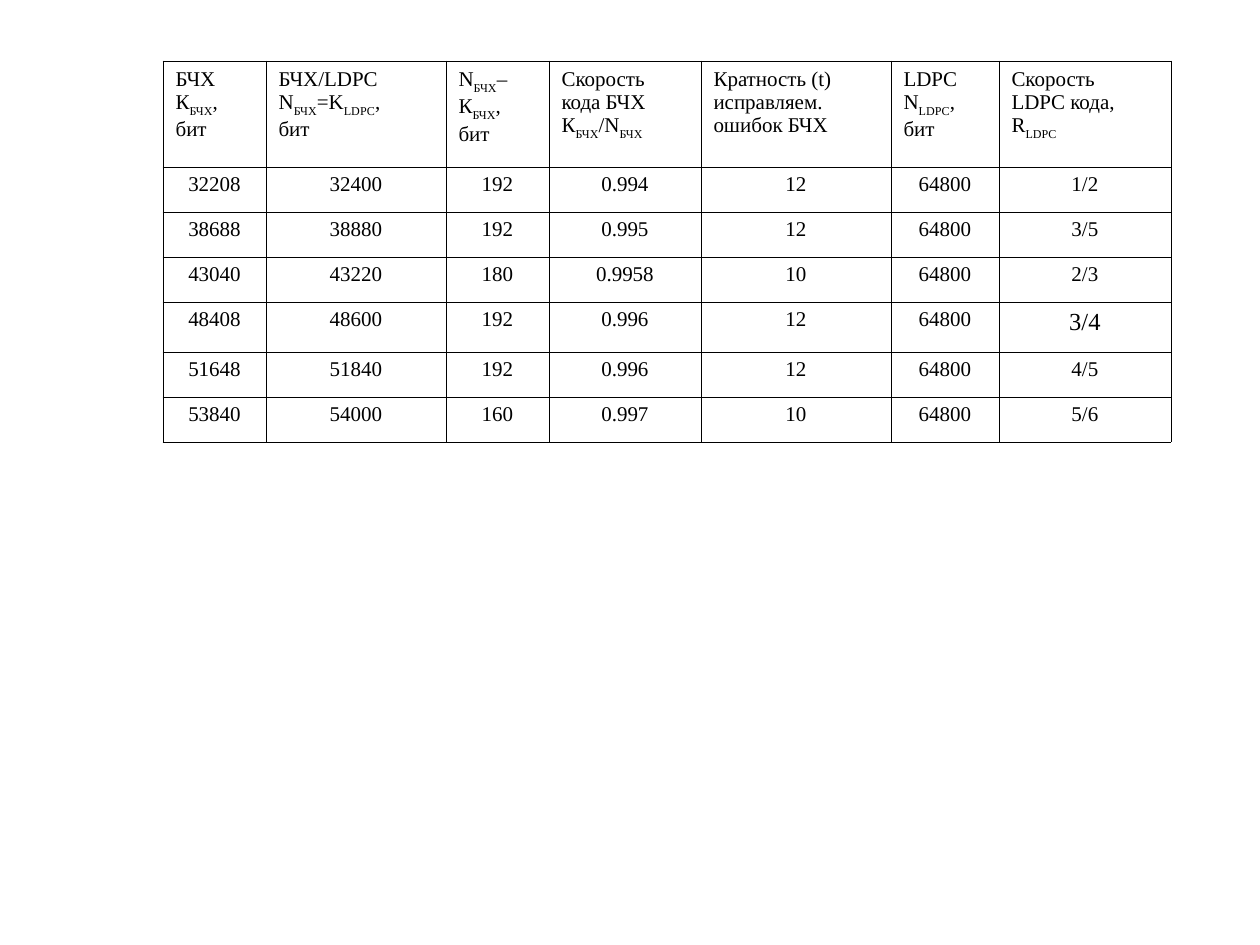
from dataclasses import dataclass

from lxml import etree
from pptx import Presentation
from pptx import util as u
from pptx.dml.color import RGBColor
from pptx.enum import text
from pptx.oxml.ns import qn


@dataclass(frozen=True)
class Theme:
    """Colours, font and sizes of the slide."""
    font: str = "Times New Roman"
    ink: str = "000000"
    body: int = 12
    large: int = 14
    border: float = 0.45
    subscript: int = -30000


THEME = Theme()
COLUMNS = [103, 180, 103, 152, 190, 108, 172]
ROWS = [106, 45, 45, 45, 50, 45, 45]
HEADERS = [
    ["БЧХ", "К|БЧХ|,", "бит"],
    ["БЧХ/LDPC", "N|БЧХ|=K|LDPC|,", "бит"],
    ["N|БЧХ|–", "К|БЧХ|,", "бит"],
    ["Скорость", "кода БЧХ", "К|БЧХ|/N|БЧХ"],
    ["Кратность (t)", "исправляем.", "ошибок БЧХ"],
    ["LDPC", "N|LDPC|,", "бит"],
    ["Скорость", "LDPC кода,", "R|LDPC"],
]
CODES = [
    ["32208", "32400", "192", "0.994", "12", "64800", "1/2"],
    ["38688", "38880", "192", "0.995", "12", "64800", "3/5"],
    ["43040", "43220", "180", "0.9958", "10", "64800", "2/3"],
    ["48408", "48600", "192", "0.996", "12", "64800", "3/4"],
    ["51648", "51840", "192", "0.996", "12", "64800", "4/5"],
    ["53840", "54000", "160", "0.997", "10", "64800", "5/6"],
]


def px(length):
    """Turn pixels into EMU at 126 pixels to the inch."""
    return u.Emu(round(length * 914400 / 126))


def write(frame, lines, size=THEME.body, align=text.PP_ALIGN.LEFT):
    """Write one paragraph per line, with subscripts between bars."""
    for number, line in enumerate(lines):
        para = frame.add_paragraph() if number else frame.paragraphs[0]
        para.alignment = align
        for index, part in enumerate(line.split("|")):
            if not part:
                continue
            span = para.add_run()
            span.text = part
            span.font.name = THEME.font
            span.font.size = u.Pt(size)
            span.font.color.rgb = RGBColor.from_string(THEME.ink)
            if index % 2:
                span.font._element.set("baseline", str(THEME.subscript))


def outline(cell):
    """Draw the four borders of a cell and leave it unfilled."""
    properties = cell._tc.get_or_add_tcPr()
    for side in ("a:lnL", "a:lnR", "a:lnT", "a:lnB"):
        line = etree.SubElement(properties, qn(side), w=str(u.Pt(THEME.border)))
        fill = etree.SubElement(line, qn("a:solidFill"))
        etree.SubElement(fill, qn("a:srgbClr"), val=THEME.ink)
    cell.fill.background()


def add_grid(page, left, top):
    """Add an unstyled table with the set columns and rows."""
    frame = page.shapes.add_table(len(ROWS), len(COLUMNS), px(left), px(top),
                                  px(sum(COLUMNS)), px(sum(ROWS)))
    table = frame.table
    table.first_row = table.horz_banding = False
    for column, width in zip(table.columns, COLUMNS):
        column.width = px(width)
    for row, height in zip(table.rows, ROWS):
        row.height = px(height)
    for cell in table.iter_cells():
        outline(cell)
    return table


def main():
    """Build the table of code parameters."""
    deck = Presentation()
    deck.slide_width, deck.slide_height = px(1260), px(945)
    page = deck.slides.add_slide(deck.slide_layouts[6])
    table = add_grid(page, 163, 61)
    for column, lines in enumerate(HEADERS):
        write(table.cell(0, column).text_frame, lines)
    for row, values in enumerate(CODES, 1):
        for column, value in enumerate(values):
            size = THEME.large if value == "3/4" else THEME.body
            write(table.cell(row, column).text_frame, [value], size=size,
                  align=text.PP_ALIGN.CENTER)
    deck.save("out.pptx")


if __name__ == "__main__":
    main()
